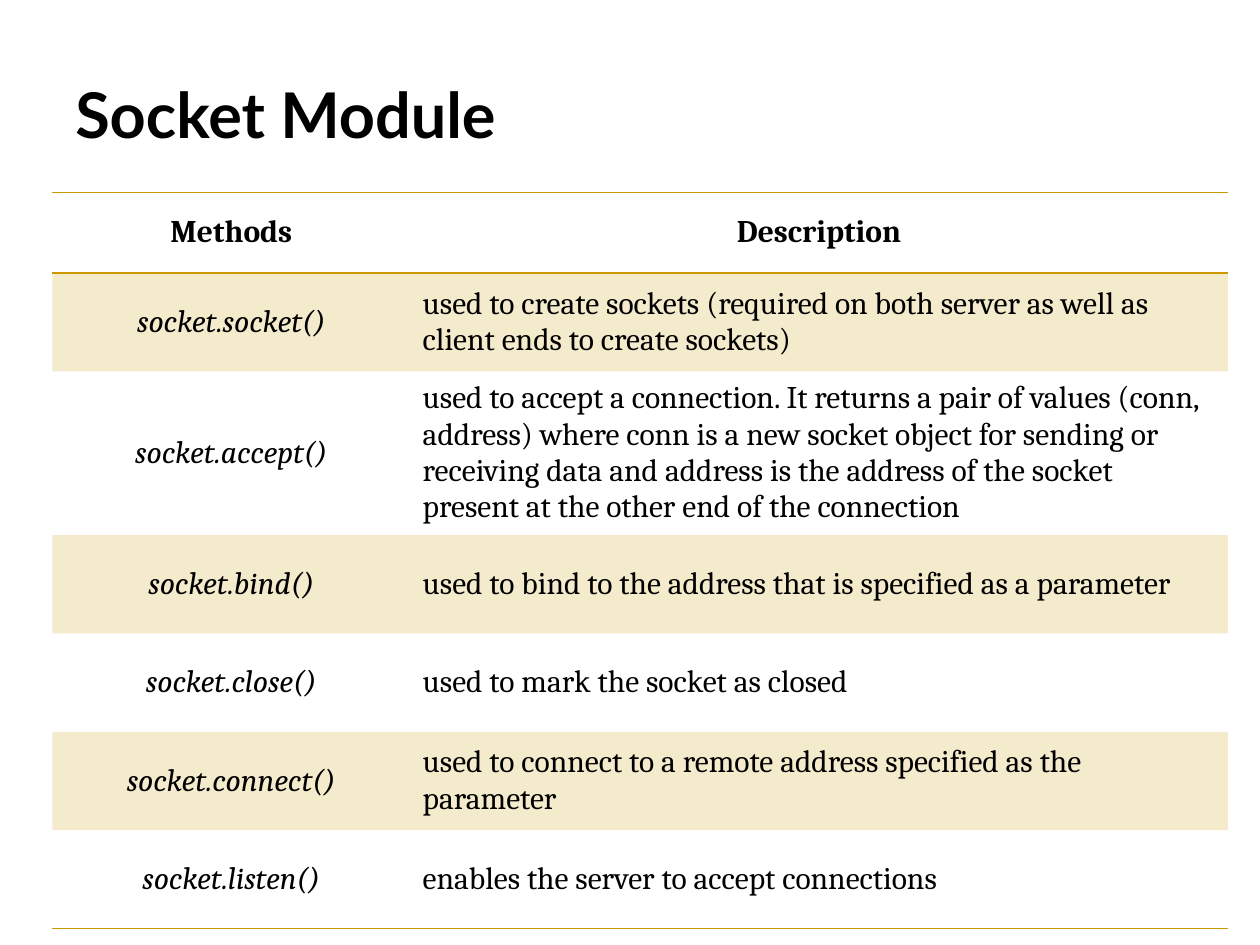
from pptx import Presentation
from pptx.dml.color import RGBColor
from pptx.enum.text import MSO_ANCHOR as Anchor, PP_ALIGN as Align
from pptx.oxml import parse_xml
from pptx.oxml.ns import nsdecls, qn
from pptx.util import Pt

GOLD = "CC9900"
BLACK = "000000"
PLAIN_STYLE = "{2D5ABB26-0587-4C30-8999-92F81FD0307C}"
COLUMN_WIDTHS = (208, 463.7)
HEADER_HEIGHT = 46
ROW_HEIGHT = 56.2

HEADINGS = ("Methods", "Description")
METHODS = (
    ("socket.socket()", "used to create sockets (required on both server as well as "
     "client ends to create sockets)"),
    ("socket.accept()", "used to accept a connection. It returns a pair of values "
     "(conn, address) where conn is a new socket object for sending or receiving data "
     "and address is the address of the socket present at the other end of the connection"),
    ("socket.bind()", "used to bind to the address that is specified as a parameter"),
    ("socket.close()", "used to mark the socket as closed"),
    ("socket.connect()", "used to connect to a remote address specified as the parameter"),
    ("socket.listen()", "enables the server to accept connections"),
)

TITLE_FONT = {"name": "Lato", "size": Pt(36), "bold": True, "italic": False}
HEADING_FONT = {"name": "Cambria", "size": Pt(18), "bold": True, "italic": False}
METHOD_FONT = HEADING_FONT | {"bold": False, "italic": True}
DESCRIPTION_FONT = HEADING_FONT | {"bold": False}
CELL_FORMAT = {
    "vertical_anchor": Anchor.MIDDLE,
    "margin_left": Pt(3.6),
    "margin_right": Pt(3.6),
    "margin_top": Pt(7.2),
    "margin_bottom": Pt(3.6),
}
CELL_FORMAT |= {"margin_top": Pt(3.6), "margin_right": Pt(7.2)}


def color(value):
    return RGBColor.from_string(value)


def set_attributes(target, values):
    for name, value in values.items():
        setattr(target, name, value)


def write_text(frame, text, font, align):
    paragraph = frame.paragraphs[0]
    paragraph.alignment = align
    run = paragraph.add_run()
    run.text = text
    set_attributes(run.font, font)
    run.font.color.rgb = color(BLACK)


def add_title(slide, text):
    shape = slide.shapes.add_textbox(Pt(36), Pt(6), Pt(534), Pt(84))
    set_attributes(shape.text_frame, {"word_wrap": True, "vertical_anchor": Anchor.BOTTOM})
    write_text(shape.text_frame, text, TITLE_FONT, Align.LEFT)


def tint_cell(cell, value, opacity):
    cell.fill.solid()
    cell.fill.fore_color.rgb = color(value)
    rgb = next(cell._tc.tcPr.iter(qn("a:srgbClr")))
    rgb.append(parse_xml(f'<a:alpha {nsdecls("a")} val="{opacity * 1000}"/>'))


def add_borders(cell, sides, value, width):
    properties = cell._tc.get_or_add_tcPr()
    for index, side in enumerate(sides):
        properties.insert(index, parse_xml(
            f'<a:ln{side} {nsdecls("a")} w="{Pt(width)}"><a:solidFill>'
            f'<a:srgbClr val="{value}"/></a:solidFill></a:ln{side}>'))


def fill_row(table, index, texts, fonts, aligns, tinted, borders):
    for cell, text, font, align in zip(table.rows[index].cells, texts, fonts, aligns):
        set_attributes(cell, CELL_FORMAT)
        write_text(cell.text_frame, text, font, align)
        if tinted:
            tint_cell(cell, GOLD, 20)
        else:
            cell.fill.background()
        add_borders(cell, borders, GOLD, 1)


def add_methods_table(slide):
    count = len(METHODS)
    height = HEADER_HEIGHT + count * ROW_HEIGHT
    table = slide.shapes.add_table(
        count + 1, len(HEADINGS), Pt(30), Pt(110), Pt(sum(COLUMN_WIDTHS)), Pt(height)).table
    set_attributes(table, {"first_row": False, "horz_banding": False})
    table._tbl.tblPr.find(qn("a:tableStyleId")).text = PLAIN_STYLE
    for column, width in zip(table.columns, COLUMN_WIDTHS):
        column.width = Pt(width)
    for index, row in enumerate(table.rows):
        row.height = Pt(ROW_HEIGHT if index else HEADER_HEIGHT)
    fill_row(table, 0, HEADINGS, (HEADING_FONT,) * 2, (Align.CENTER,) * 2, False, "TB")
    for index, texts in enumerate(METHODS, 1):
        fill_row(table, index, texts, (METHOD_FONT, DESCRIPTION_FONT),
                 (Align.CENTER, Align.LEFT), index % 2 == 1, "B" if index == count else "")


def main():
    presentation = Presentation()
    set_attributes(presentation, {"slide_width": Pt(720), "slide_height": Pt(540)})
    slide = presentation.slides.add_slide(presentation.slide_layouts[6])
    add_title(slide, "Socket Module")
    add_methods_table(slide)
    presentation.save("out.pptx")


if __name__ == "__main__":
    main()
